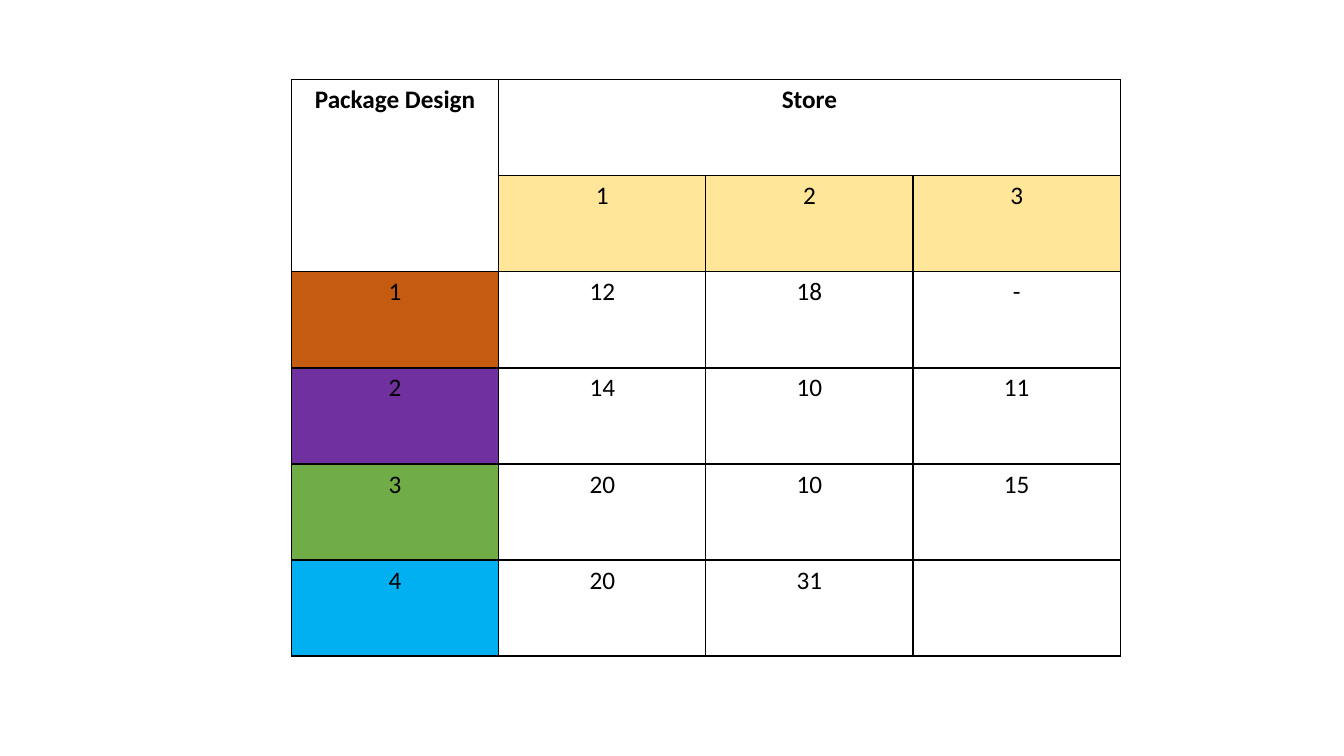
from typing import NamedTuple

from lxml import etree
from pptx import Presentation
from pptx import util as u
from pptx.dml.color import RGBColor
from pptx.enum import text
from pptx.oxml import ns

BLACK, WHITE, SAND = "000000", "FFFFFF", "FFE699"
COL, ROW = 148, 68.6


class Entry(NamedTuple):
    row: int
    col: int
    word: str
    fill: str = WHITE
    bold: bool = False
    rows: int = 1
    cols: int = 1


def paint(target, tone: str) -> None:
    target.solid()
    target.fore_color.rgb = RGBColor.from_string(tone)


def border(cell, tone: str = BLACK, width: float = 1) -> None:
    props = cell._tc.get_or_add_tcPr()
    for spot, side in enumerate(("lnL", "lnR", "lnT", "lnB")):
        line = etree.Element(ns.qn(f"a:{side}"), w=str(u.Pt(width)))
        solid = etree.SubElement(line, ns.qn("a:solidFill"))
        etree.SubElement(solid, ns.qn("a:srgbClr"), val=tone)
        props.insert(spot, line)


def draw(table, entry: Entry) -> None:
    cell = table.cell(entry.row, entry.col)
    if entry.rows * entry.cols > 1:
        cell.merge(table.cell(entry.row + entry.rows - 1,
                              entry.col + entry.cols - 1))
    paint(cell.fill, entry.fill)
    para = cell.text_frame.paragraphs[0]
    para.alignment = text.PP_ALIGN.CENTER
    para.text = entry.word
    style = {"name": "Calibri", "size": u.Pt(18), "bold": entry.bold}
    for key, value in style.items():
        setattr(para.font, key, value)
    paint(para.font.fill, BLACK)


deck = Presentation()
deck.slide_width, deck.slide_height = u.Pt(960), u.Pt(540)
slide = deck.slides.add_slide(deck.slide_layouts[6])

# Sales by package design and store
designs = [
    ("C55A11", ("12", "18", "-")),
    ("7030A0", ("14", "10", "11")),
    ("70AD47", ("20", "10", "15")),
    ("00B0F0", ("20", "31", "")),
]

# Headings
entries = [
    Entry(0, 0, "Package Design", bold=True, rows=2),
    Entry(0, 1, "Store", bold=True, cols=3),
]
entries += [Entry(1, store, str(store), SAND) for store in range(1, 4)]

# One row for each design
for design, (tone, sales) in enumerate(designs, 1):
    entries.append(Entry(design + 1, 0, str(design), tone))
    entries += [Entry(design + 1, store, sale)
                for store, sale in enumerate(sales, 1)]

# Table grid
frame = slide.shapes.add_table(6, 4, u.Pt(208.2), u.Pt(57),
                               u.Pt(4 * COL), u.Pt(6 * ROW))
table = frame.table
table.first_row = table.horz_banding = False
for col in table.columns:
    col.width = u.Pt(COL)
for row in table.rows:
    row.height = u.Pt(ROW)
for cell in table.iter_cells():
    paint(cell.fill, WHITE)
    border(cell)
for entry in entries:
    draw(table, entry)

deck.save("out.pptx")
